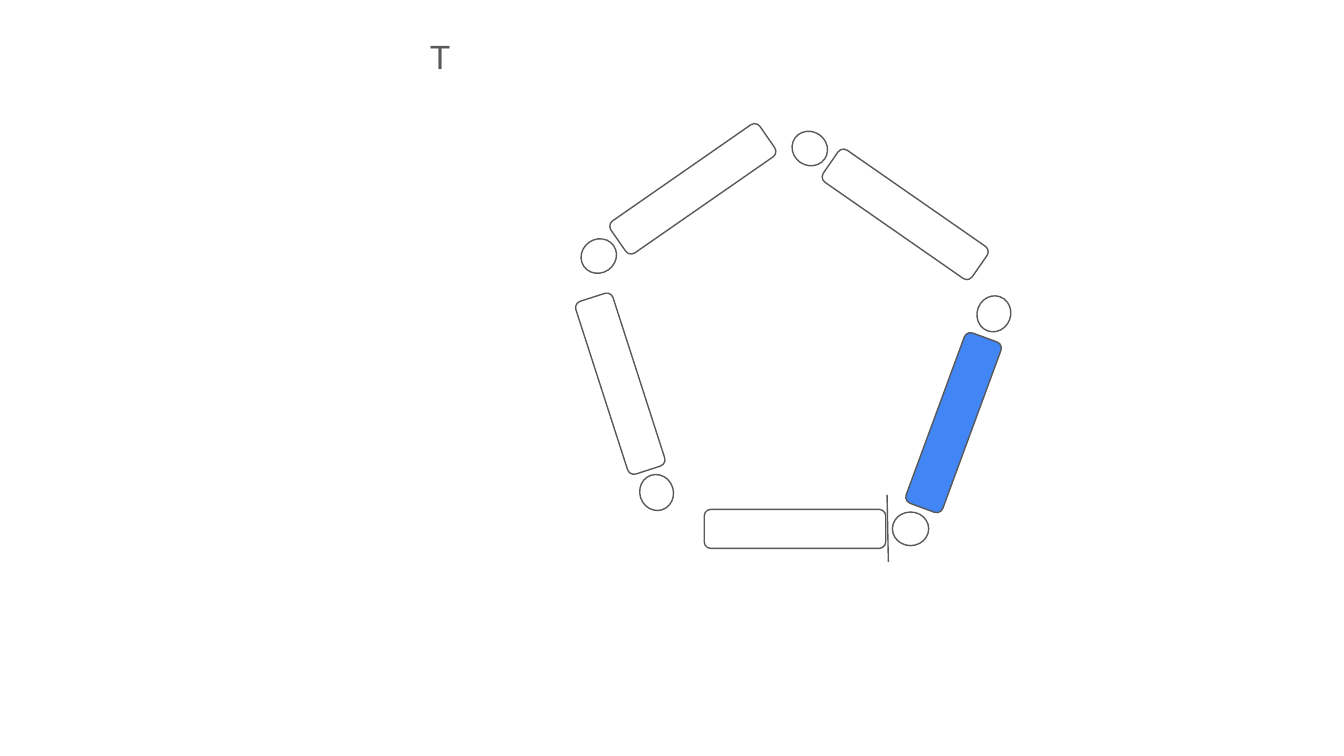
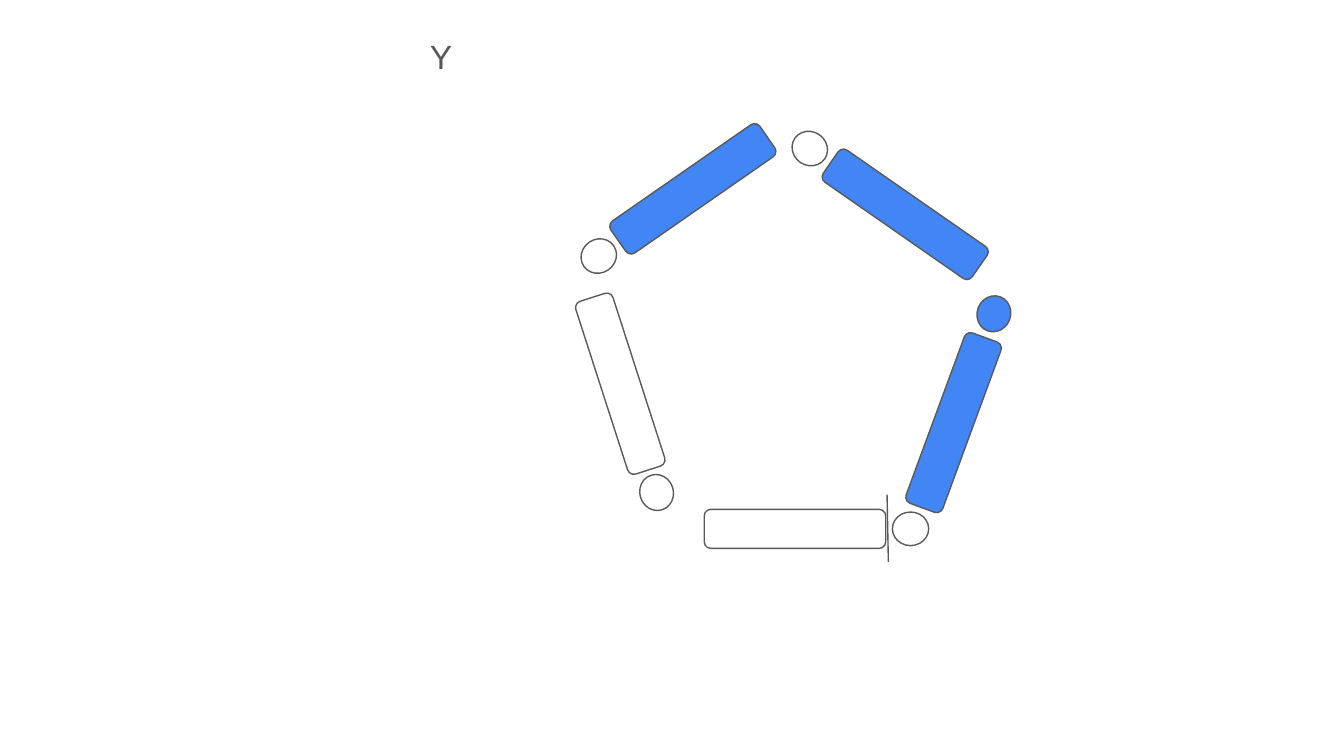
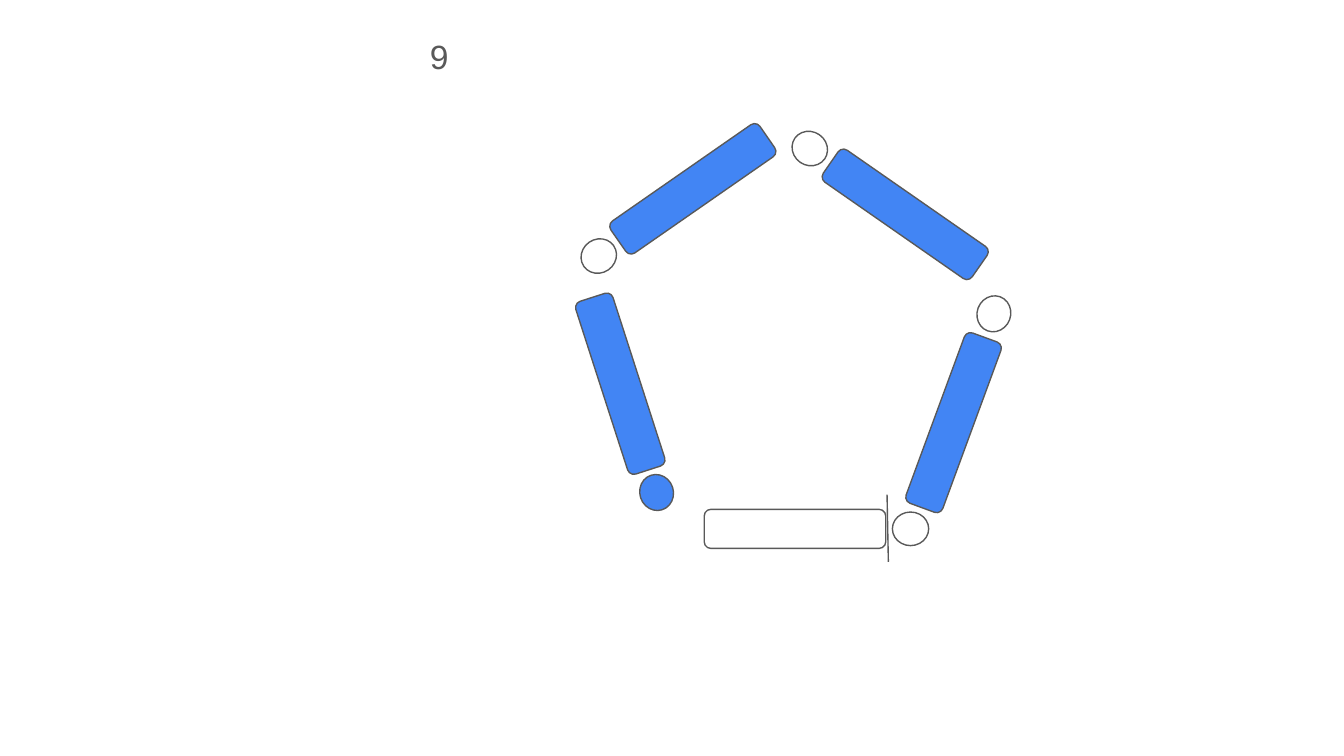
"""Build three slides of a five-sided ring whose bars and dots light up per character."""
from lxml.etree import SubElement
from pptx import Presentation
from pptx.dml.color import RGBColor
from pptx.enum.shapes import MSO_CONNECTOR, MSO_SHAPE
from pptx.enum.text import MSO_AUTO_SIZE
from pptx.oxml.ns import qn
from pptx.util import Inches, Pt

WHITE = RGBColor(0xFF, 0xFF, 0xFF)
BLUE = RGBColor(0x42, 0x85, 0xF4)
GREY = RGBColor(0x59, 0x59, 0x59)
OUTLINE = Pt(0.75)

BAR_SIZE = (1.35, 0.29)
DOT_SIZE = (0.27, 0.25)
SIDES = {
    "bottom": (0, (5.24, 3.79), (6.64, 3.81)),
    "lower right": (290.2, (6.42, 3), (7.26, 2.21)),
    "upper right": (214.8, (6.06, 1.45), (5.89, 0.98)),
    "lower left": (72.1, (3.94, 2.71), (4.75, 3.54)),
    "upper left": (145.2, (4.48, 1.26), (4.32, 1.78)),
}
CHARACTERS = [
    ("T", {"lower right"}, set()),
    ("Y", {"lower right", "upper right", "upper left"}, {"lower right"}),
    ("9", {"lower right", "upper right", "lower left", "upper left"}, {"lower left"}),
]


def add_piece(page, kind, corner, size, rotation, lit):
    piece = page.shapes.add_shape(kind, *map(Inches, corner + size))
    piece.rotation = rotation
    piece.shadow.inherit = False
    piece.fill.solid()
    piece.fill.fore_color.rgb = BLUE if lit else WHITE
    piece.line.color.rgb = GREY
    piece.line.width = OUTLINE


deck = Presentation()
deck.slide_width = Inches(10)
deck.slide_height = Inches(10) * 9 // 16

for character, lit_bars, lit_dots in CHARACTERS:
    page = deck.slides.add_slide(deck.slide_layouts[6])

    for side, (rotation, bar_corner, dot_corner) in SIDES.items():
        add_piece(page, MSO_SHAPE.ROUNDED_RECTANGLE, bar_corner, BAR_SIZE, rotation, side in lit_bars)
        add_piece(page, MSO_SHAPE.OVAL, dot_corner, DOT_SIZE, rotation, side in lit_dots)

    divider = page.shapes.add_connector(
        MSO_CONNECTOR.STRAIGHT, Inches(6.6), Inches(3.68), Inches(6.61), Inches(4.18))
    divider.line.color.rgb = GREY
    divider.line.width = OUTLINE
    SubElement(divider._element.spPr, qn("a:effectLst"))

    box = page.shapes.add_textbox(Inches(3.1), Inches(0.17), Inches(4), Inches(0.5))
    frame = box.text_frame
    frame.word_wrap = True
    frame.auto_size = MSO_AUTO_SIZE.SHAPE_TO_FIT_TEXT
    frame.margin_left = frame.margin_right = Inches(0.1)
    frame.margin_top = frame.margin_bottom = Inches(0.1)
    para = frame.paragraphs[0]
    para.text = character
    para.font.name = "Arial"
    para.font.size = Pt(18)
    para.font.color.rgb = GREY

deck.save("out.pptx")
